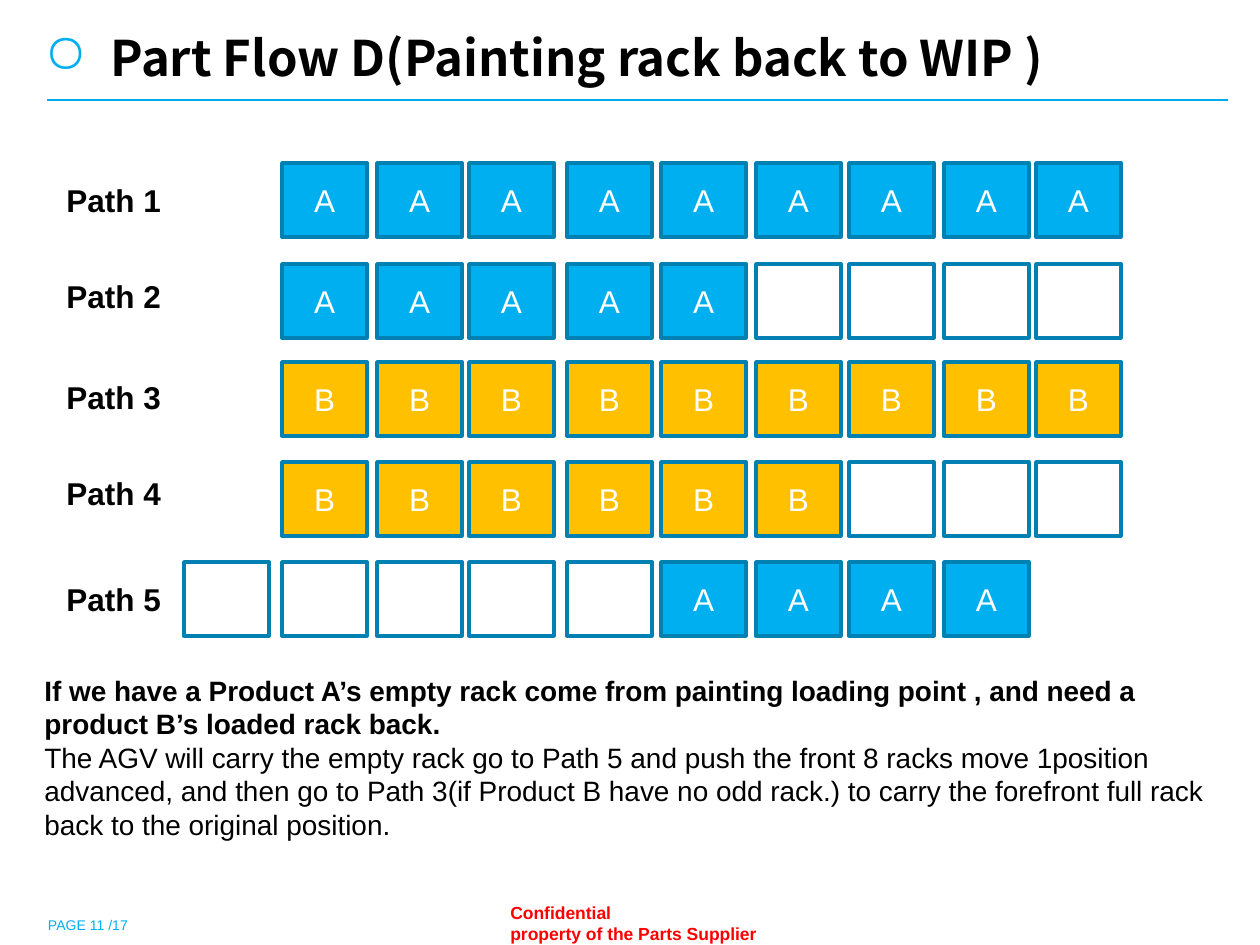
from lxml.etree import SubElement
from pptx import Presentation
from pptx.dml.color import RGBColor
from pptx.enum.shapes import MSO_CONNECTOR, MSO_SHAPE
from pptx.enum.text import MSO_ANCHOR, PP_ALIGN
from pptx.oxml.ns import qn
from pptx.util import Emu, Pt

SCALE = 914400 // 126
COLORS = {
    "white": "FFFFFF", "black": "000000", "red": "FF0000", "cyan": "00AFF0",
    "rule": "00ABEB", "outline": "0081B2", "amber": "FFC000",
}
RACK_FILLS = {"A": "cyan", "B": "amber", " ": "white"}
RACK_W, RACK_H = 85, 74
SLOT_LEFTS = [184, 282, 377, 469, 567, 661, 756, 849, 944, 1036]
# name, label top, rack top, racks from the leftmost slot ("-" is no rack)
PATHS = [
    ("Path 1", 175, 163, "-AAAAAAAAA"),
    ("Path 2", 271, 264, "-AAAAA    "),
    ("Path 3", 372, 362, "-BBBBBBBBB"),
    ("Path 4", 468, 462, "-BBBBBB   "),
    ("Path 5", 574, 562, "     AAAA-"),
]


def px(n):
    """Turn picture pixels into EMU."""
    return Emu(n * SCALE)


def rgb(name):
    """Look up a named colour."""
    return RGBColor.from_string(COLORS[name])


def style(p, size, color, bold=False, font="Arial"):
    """Set the font of a whole paragraph."""
    p.font.size, p.font.bold, p.font.name = Pt(size), bold, font
    p.font.color.rgb = rgb(color)


def add_text(s, box, paragraphs, size, color, font="Arial", margin=None):
    """Add a text box from (text, bold) pairs and return its frame."""
    tf = s.shapes.add_textbox(*map(px, box)).text_frame
    tf.word_wrap = True
    if margin is not None:
        tf.margin_left = tf.margin_right = px(margin)
        tf.margin_top = tf.margin_bottom = px(margin)
    for i, (text, bold) in enumerate(paragraphs):
        p = tf.add_paragraph() if i else tf.paragraphs[0]
        p.text = text
        style(p, size, color, bold, font)
    return tf


def add_title(s, text):
    """Add the slide title with its ring bullet."""
    font = "Noto Sans CJK SC"
    tf = add_text(s, (32, 21, 1217, 59), [(text, True)], 28, "black", font)
    p = tf.paragraphs[0]
    pPr = p._p.get_or_add_pPr()
    pPr.set("marL", str(px(66)))
    pPr.set("indent", str(px(-66)))
    clr = SubElement(pPr, qn("a:buClr"))
    SubElement(clr, qn("a:srgbClr"), val=COLORS["cyan"])
    SubElement(pPr, qn("a:buSzPct"), val="110000")
    SubElement(pPr, qn("a:buChar"), char="○")
    ea = SubElement(p.font._element, qn("a:ea"))
    ea.set("typeface", font)


def add_rule(s, left, right, y):
    """Add the thin line below the title."""
    line = s.shapes.add_connector(
        MSO_CONNECTOR.STRAIGHT, px(left), px(y), px(right), px(y))
    line.line.color.rgb = rgb("rule")
    line.line.width = Pt(0.75)
    SubElement(line._element.spPr, qn("a:effectLst"))


def add_rack(s, left, top, product):
    """Add one rack, filled by product or empty."""
    sp = s.shapes.add_shape(
        MSO_SHAPE.RECTANGLE, px(left), px(top), px(RACK_W), px(RACK_H))
    sp.shadow.inherit = False
    sp.fill.solid()
    sp.fill.fore_color.rgb = rgb(RACK_FILLS[product])
    sp.line.color.rgb = rgb("outline")
    sp.line.width = Pt(2)
    if product != " ":
        tf = sp.text_frame
        tf.vertical_anchor = MSO_ANCHOR.MIDDLE
        p = tf.paragraphs[0]
        p.text, p.alignment = product, PP_ALIGN.CENTER
        style(p, 18, "white")


def add_path(s, name, label_top, rack_top, racks):
    """Add a path label and its row of racks."""
    add_text(s, (54, label_top, 154, 50), [(name, True)], 18, "black")
    for left, product in zip(SLOT_LEFTS, racks):
        if product != "-":
            add_rack(s, left, rack_top, product)


def main():
    """Build the slide and save it."""
    prs = Presentation()
    prs.slide_width, prs.slide_height = px(1260), px(945)
    s = prs.slides.add_slide(prs.slide_layouts[6])
    s.background.fill.solid()
    s.background.fill.fore_color.rgb = rgb("white")

    add_title(s, "Part Flow D(Painting rack back to WIP )")
    add_rule(s, 47, 1228, 100)
    for path_row in PATHS:
        add_path(s, *path_row)
    add_text(s, (32, 667, 1217, 183), [
        ("If we have a Product A’s empty rack come from painting loading "
         "point , and need a product B’s loaded rack back.", True),
        ("The AGV will carry the empty rack go to Path 5 and push the front "
         "8 racks move 1position advanced, and then go to Path 3(if Product B "
         "have no odd rack.) to carry the forefront full rack back to the "
         "original position.", False),
    ], 16, "black")
    tf = add_text(s, (48, 901, 1012, 32), [("PAGE 11 /17", False)], 8, "cyan",
                  margin=0)
    tf.vertical_anchor = MSO_ANCHOR.BOTTOM
    add_text(s, (498, 896, 289, 54),
             [("Confidential\vproperty of the Parts Supplier", True)], 10, "red")
    prs.save("out.pptx")


main()
